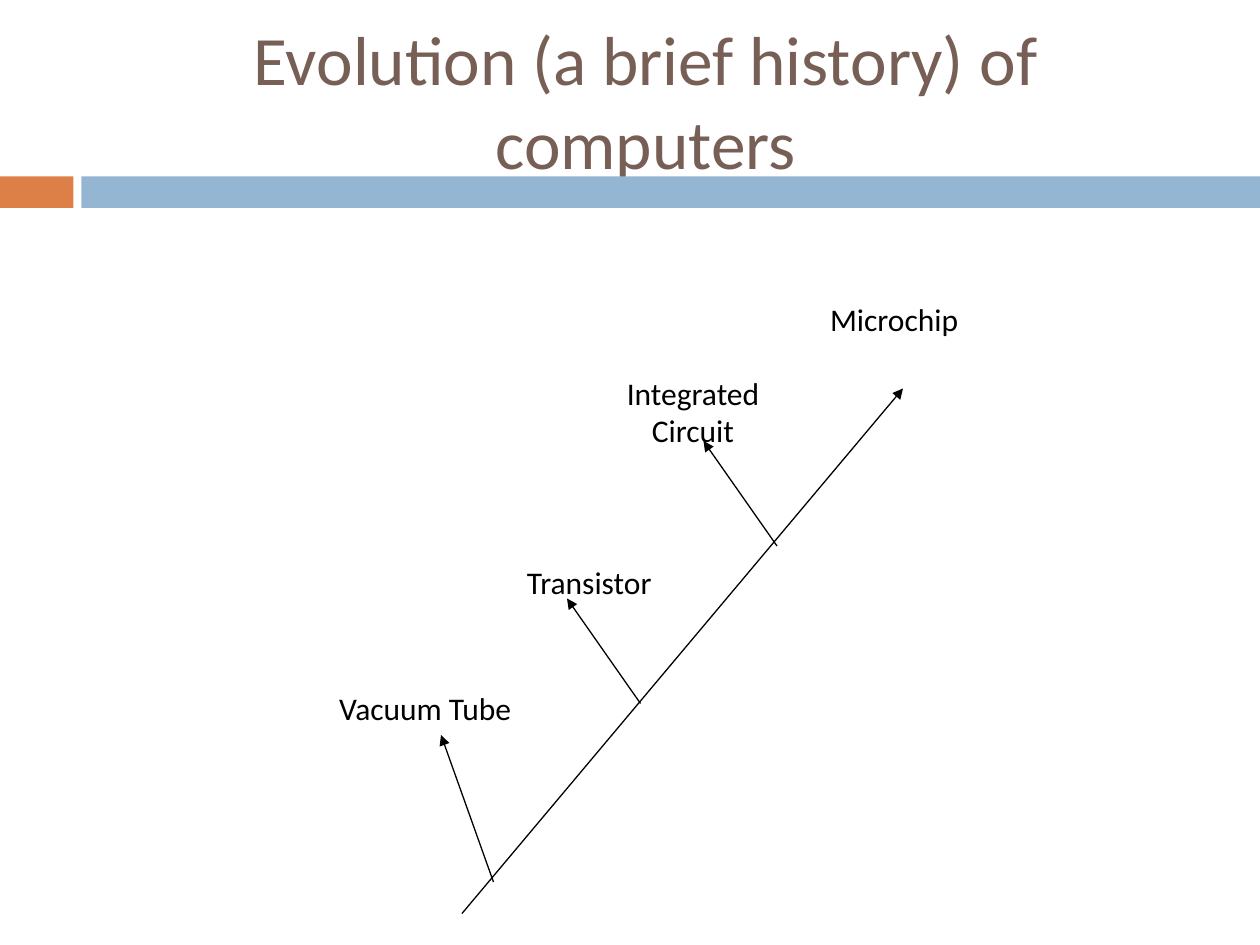
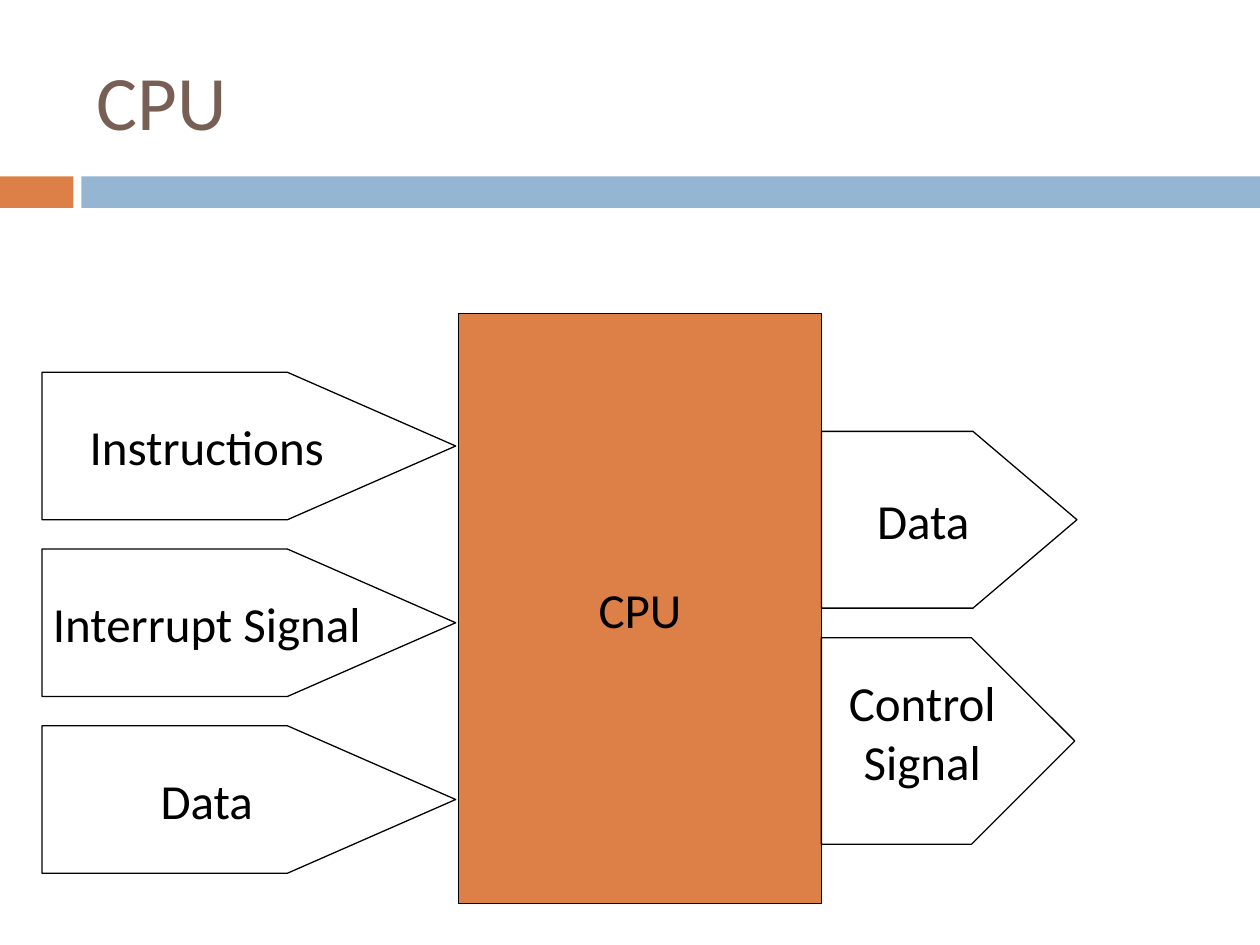
from lxml.etree import SubElement
from pptx import Presentation
from pptx.dml.color import RGBColor
from pptx.enum.shapes import MSO_CONNECTOR, MSO_SHAPE
from pptx.enum.text import MSO_ANCHOR, MSO_AUTO_SIZE, PP_ALIGN
from pptx.oxml.ns import qn
from pptx.util import Pt

COLORS = {"title": "775F55", "orange": "DD8047", "blue": "94B6D2",
          "black": "000000", "white": "FFFFFF"}
FONT = "Calibri"


def write(box, text, size=18, color="black", align=PP_ALIGN.CENTER,
          anchor=MSO_ANCHOR.TOP, wrap=True, side=7.2, bottom=3.6):
    frame = box.text_frame
    frame.auto_size = MSO_AUTO_SIZE.NONE
    frame.word_wrap = wrap
    frame.vertical_anchor = anchor
    frame.margin_left = frame.margin_right = Pt(side)
    frame.margin_top, frame.margin_bottom = Pt(3.6), Pt(bottom)
    frame.text = text
    for para in frame.paragraphs:
        para.alignment = align
        for span in para.runs:
            span.font.name = FONT
            span.font.size = Pt(size)
            span.font.color.rgb = RGBColor.from_string(COLORS[color])


def draw(page, kind, place, fill, outlined=False):
    shape = page.shapes.add_shape(kind, *[Pt(length) for length in place])
    shape.shadow.inherit = False
    shape.fill.solid()
    shape.fill.fore_color.rgb = RGBColor.from_string(COLORS[fill])
    if outlined:
        shape.line.color.rgb = RGBColor.from_string(COLORS["black"])
        shape.line.width = Pt(0.75)
    else:
        shape.line.fill.background()
    return shape


deck = Presentation()
deck.slide_width, deck.slide_height = Pt(720), Pt(540)
title_only = deck.slide_layouts[5]

# Bands and titles on both slides
titles = [
    ("Evolution (a brief history) of computers",
     {"size": 39.6, "align": PP_ALIGN.CENTER, "side": 14}),
    ("CPU", {"size": 44, "align": PP_ALIGN.LEFT}),
]
for text, style in titles:
    page = deck.slides.add_slide(title_only)
    draw(page, MSO_SHAPE.RECTANGLE, (0, 100.8, 42, 18), "orange")
    draw(page, MSO_SHAPE.RECTANGLE, (46.5, 100.8, 673.5, 18), "blue")
    title = page.shapes.title
    title.left, title.top, title.width, title.height = Pt(48), Pt(18), Pt(642), Pt(78)
    write(title, text, color="title", anchor=MSO_ANCHOR.MIDDLE, **style)

history, processor = deck.slides

# Timeline and its branches: start x, y, end x, y
arrows = [
    (264, 522, 516, 222),
    (282, 504, 252, 420),
    (366, 402, 324, 342),
    (444, 312, 402, 252),
]
for arrow in arrows:
    line = history.shapes.add_connector(
        MSO_CONNECTOR.STRAIGHT, *[Pt(length) for length in arrow])
    line.line.color.rgb = RGBColor.from_string(COLORS["black"])
    line.line.width = Pt(0.75)
    SubElement(line.line._get_or_add_ln(), qn("a:tailEnd"), type="triangle")
    SubElement(line._element.spPr, qn("a:effectLst"))

# Milestones: text, left, top, width, height, alignment
milestones = [
    ("Vacuum Tube", 186, 390, 114, 65, PP_ALIGN.CENTER),
    ("Transistor", 294, 318, 114, 36, PP_ALIGN.LEFT),
    ("Integrated Circuit", 330, 210, 132, 65, PP_ALIGN.CENTER),
    ("Microchip ", 444, 168, 138, 29, PP_ALIGN.CENTER),
]
for text, left, top, width, height, align in milestones:
    box = history.shapes.add_textbox(Pt(left), Pt(top), Pt(width), Pt(height))
    write(box, text, align=align)

# Processor block
block_left, block_width = 262, 207.4
block = draw(processor, MSO_SHAPE.RECTANGLE,
             (block_left, 179.2, block_width, 337), "orange", outlined=True)
write(block, "CPU", size=28, anchor=MSO_ANCHOR.MIDDLE, wrap=False)

# Inputs at an equal pitch, outputs from the right edge of the block
inputs = ["Instructions", "Interrupt Signal", "Data"]
signals = [(text, (24, 212.8 + 101 * row, 236.4, 84.2), 1.141, 3.6)
           for row, text in enumerate(inputs)]
block_right = block_left + block_width
signals += [
    ("Data", (block_right, 246.5, 146, 101), 0.588, 3.6),
    ("Control\nSignal", (block_right, 364.4, 144.8, 118), 0.5, 14),
]
for text, place, point, bottom in signals:
    plate = draw(processor, MSO_SHAPE.PENTAGON, place, "white", outlined=True)
    plate.adjustments[0] = point
    write(plate, text, size=28, anchor=MSO_ANCHOR.MIDDLE, wrap=False, bottom=bottom)

deck.save("out.pptx")
